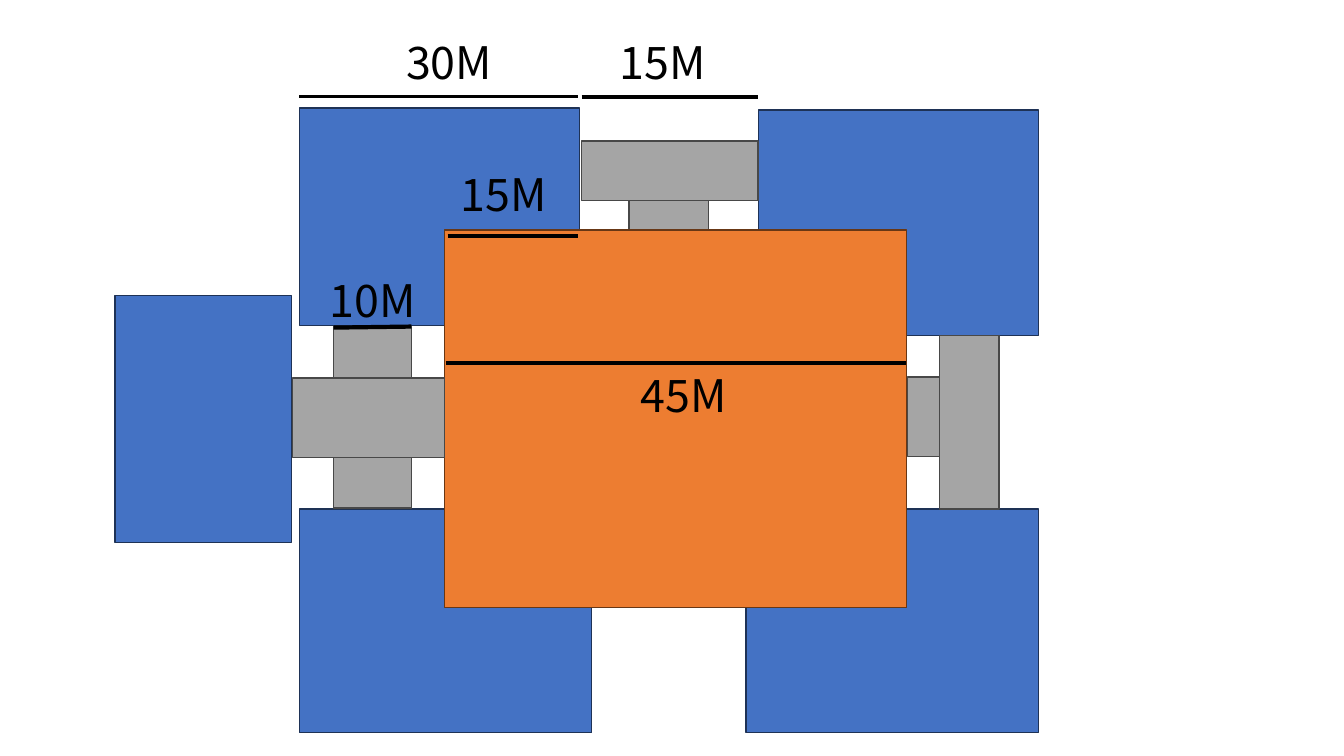
from lxml import etree
from pptx import Presentation
from pptx.dml.color import RGBColor
from pptx.enum.shapes import MSO_CONNECTOR, MSO_SHAPE
from pptx.enum.text import MSO_AUTO_SIZE, PP_ALIGN
from pptx.oxml.ns import qn
from pptx.util import Inches, Pt

RECT = MSO_SHAPE.RECTANGLE
LINE = MSO_CONNECTOR.STRAIGHT
FIT = MSO_AUTO_SIZE.SHAPE_TO_FIT_TEXT
CENTER = PP_ALIGN.CENTER
FONT = "Noto Sans CJK KR"

# kind: fill, outline
KINDS = {
    "room": ("4472C4", "1E3256"),
    "hall": ("A5A5A5", "484848"),
    "core": ("ED7D31", "683715"),
}
# kind, left, top, width, height; back to front
BLOCKS = [
    ("room", 7.4, 5.05, 2.9, 2.22),
    ("hall", 6.24, 1.41, 0.79, 0.88),
    ("room", 2.97, 1.07, 2.78, 2.16),
    ("room", 2.97, 5.05, 2.9, 2.22),
    ("room", 7.52, 1.09, 2.78, 2.24),
    ("core", 4.41, 2.28, 4.58, 3.75),
    ("room", 1.14, 2.93, 1.75, 2.45),
    ("hall", 3.31, 3.24, 0.77, 1.8),
    ("hall", 5.77, 1.4, 1.75, 0.59),
    ("hall", 2.9, 3.75, 1.51, 0.79),
    ("hall", 9, 3.74, 0.91, 0.79),
    ("hall", 9.32, 3.33, 0.59, 1.72),
]
# label, label left and top, line start and end, line weight
SPANS = [
    ("30M", (3.9, 0.3), (2.97, 0.96), (5.73, 0.96), 2.25),
    ("15M", (6.02, 0.3), (5.77, 0.96), (7.52, 0.96), 3),
    ("15M", (4.44, 1.6), (4.44, 2.34), (5.73, 2.34), 3),
    ("10M", (3.14, 2.66), (3.31, 3.25), (4.08, 3.24), 3),
    ("45M", (6.23, 3.6), (4.42, 3.6), (8.99, 3.6), 3),
]
LABEL = (1.11, 0.64)


def paint(color, value):
    color.rgb = RGBColor.from_string(value)


def add_block(slide, kind, *box):
    fill, edge = KINDS[kind]
    block = slide.shapes.add_shape(RECT, *map(Inches, box))
    block.shadow.inherit = False
    block.fill.solid()
    paint(block.fill.fore_color, fill)
    paint(block.line.color, edge)
    block.line.width = Pt(1)


def add_span(slide, text, spot, start, end, weight):
    """Draw a measuring line and its length label."""
    line = slide.shapes.add_connector(LINE, *map(Inches, start + end))
    paint(line.line.color, "000000")
    line.line.width = Pt(weight)
    etree.SubElement(line._element.spPr, qn("a:effectLst"))

    frame = slide.shapes.add_textbox(*map(Inches, spot + LABEL)).text_frame
    frame.word_wrap = False
    frame.auto_size = FIT
    frame.text = text
    para = frame.paragraphs[0]
    para.alignment = CENTER
    font = para.runs[0].font
    font.name = FONT
    font.size = Pt(32)
    paint(font.color, "000000")


def main():
    deck = Presentation()
    deck.slide_width, deck.slide_height = Inches(13.33), Inches(7.5)
    slide = deck.slides.add_slide(deck.slide_layouts[6])
    for block in BLOCKS:
        add_block(slide, *block)
    for span in SPANS:
        add_span(slide, *span)
    deck.save("out.pptx")


if __name__ == "__main__":
    main()
